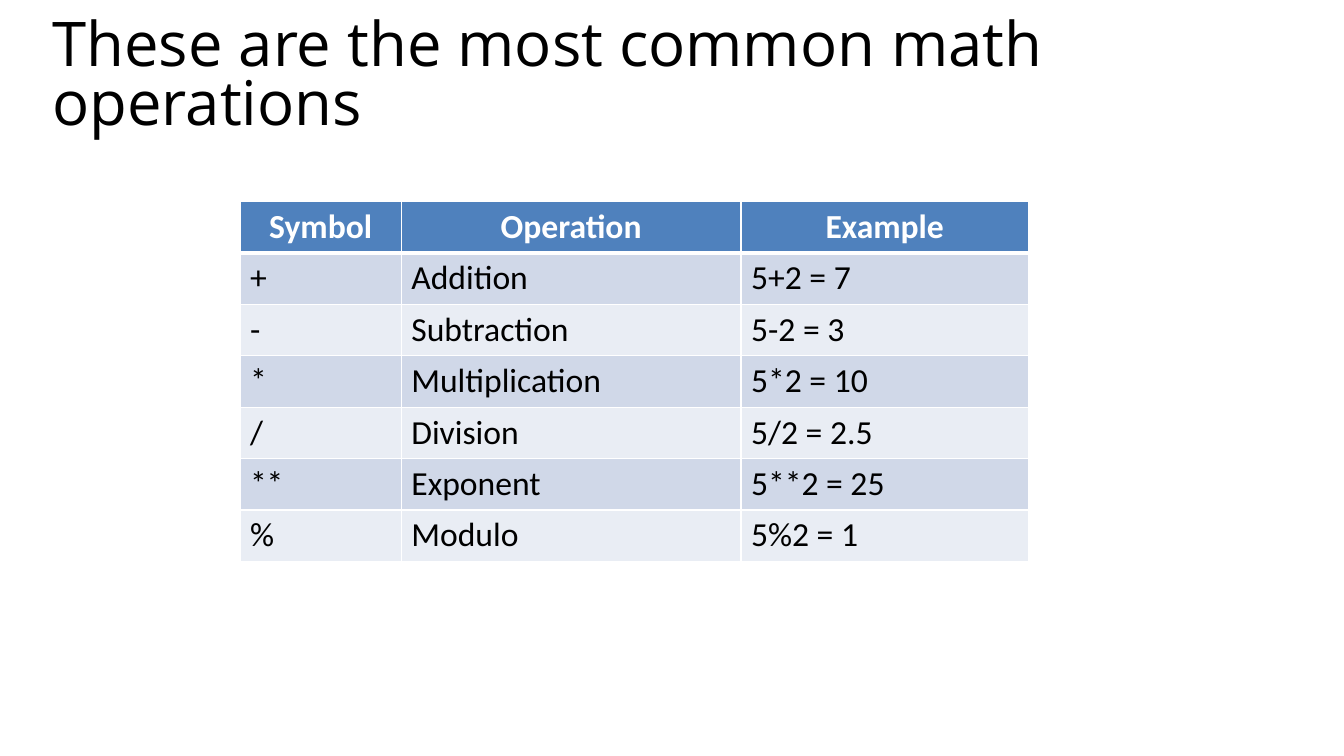
"""Build the slide that lists the most common math operations."""
from dataclasses import dataclass

from lxml import etree
from pptx import Presentation
from pptx.dml.color import RGBColor
from pptx.enum.text import MSO_ANCHOR, MSO_AUTO_SIZE, PP_ALIGN
from pptx.oxml.ns import qn
from pptx.util import Emu, Pt

LEFT, CENTER = PP_ALIGN.LEFT, PP_ALIGN.CENTER
MIDDLE = MSO_ANCHOR.MIDDLE
NO_FIT = MSO_AUTO_SIZE.NONE
EMU_PER_PX = 9144
TITLE_ONLY = 5


@dataclass(frozen=True)
class Theme:
    title_font: str = "Open Sans"
    table_font: str = "Calibri"
    title_size: int = 44
    table_size: int = 24
    text: str = "000000"
    header_text: str = "FFFFFF"
    header_fill: str = "4F81BD"
    bands: tuple[str, str] = ("D0D8E8", "E9EDF4")
    border: str = "FFFFFF"
    thin: int = 1
    thick: int = 3


@dataclass(frozen=True)
class Column:
    heading: str
    width: int


@dataclass(frozen=True)
class Operation:
    symbol: str
    name: str
    example: str


THEME = Theme()
TITLE = "These are the most common math operations"
COLUMNS = [Column("Symbol", 160), Column("Operation", 337), Column("Example", 285)]
OPERATIONS = [
    Operation("+", "Addition", "5+2 = 7"),
    Operation("-", "Subtraction", "5-2 = 3"),
    Operation("*", "Multiplication", "5*2 = 10"),
    Operation("/", "Division", "5/2 = 2.5"),
    Operation("**", "Exponent", "5**2 = 25"),
    Operation("%", "Modulo", "5%2 = 1"),
]
TABLE_LEFT, TABLE_TOP, ROW_HEIGHT = 238, 200, 51


def px(n: int) -> Emu:
    return Emu(n * EMU_PER_PX)


def style_paragraph(p, font: str, size: int, color: str, align, bold: bool = False) -> None:
    p.alignment = align
    p.font.name = font
    p.font.size = Pt(size)
    p.font.bold = bold
    p.font.color.rgb = RGBColor.from_string(color)


def set_borders(cell, top: int, bottom: int) -> None:
    tc_pr = cell._tc.get_or_add_tcPr()
    widths = {"a:lnL": THEME.thin, "a:lnR": THEME.thin, "a:lnT": top, "a:lnB": bottom}
    for i, (tag, width) in enumerate(widths.items()):
        ln = etree.Element(qn(tag), w=str(Pt(width)))
        fill = etree.SubElement(ln, qn("a:solidFill"))
        etree.SubElement(fill, qn("a:srgbClr"), val=THEME.border)
        tc_pr.insert(i, ln)


def fill_cell(cell, text: str, row: int) -> None:
    header = row == 0
    cell.text = text
    style_paragraph(
        cell.text_frame.paragraphs[0], THEME.table_font, THEME.table_size,
        THEME.header_text if header else THEME.text,
        CENTER if header else LEFT, header,
    )
    color = THEME.header_fill if header else THEME.bands[(row - 1) % 2]
    cell.fill.solid()
    cell.fill.fore_color.rgb = RGBColor.from_string(color)
    set_borders(
        cell,
        THEME.thick if row == 1 else THEME.thin,
        THEME.thick if header else THEME.thin,
    )


def add_title(s) -> None:
    sp = s.shapes.title
    sp.left, sp.top, sp.width, sp.height = px(42), px(20), px(1260), px(116)
    tf = sp.text_frame
    tf.text = TITLE
    tf.word_wrap = True
    tf.auto_size = NO_FIT
    tf.vertical_anchor = MIDDLE
    p = tf.paragraphs[0]
    p.line_spacing = 0.8
    style_paragraph(p, THEME.title_font, THEME.title_size, THEME.text, LEFT)


def add_operations(s) -> None:
    rows = [[c.heading for c in COLUMNS]]
    rows += [[o.symbol, o.name, o.example] for o in OPERATIONS]
    table = s.shapes.add_table(
        len(rows), len(COLUMNS), px(TABLE_LEFT), px(TABLE_TOP),
        px(sum(c.width for c in COLUMNS)), px(ROW_HEIGHT * len(rows)),
    ).table
    table.horz_banding = False
    for col, column in zip(table.columns, COLUMNS):
        col.width = px(column.width)
    for i, texts in enumerate(rows):
        table.rows[i].height = px(ROW_HEIGHT)
        for j, text in enumerate(texts):
            fill_cell(table.cell(i, j), text, i)


def main() -> None:
    prs = Presentation()
    prs.slide_width, prs.slide_height = px(1333), px(750)
    s = prs.slides.add_slide(prs.slide_layouts[TITLE_ONLY])
    add_title(s)
    add_operations(s)
    prs.save("out.pptx")


if __name__ == "__main__":
    main()
